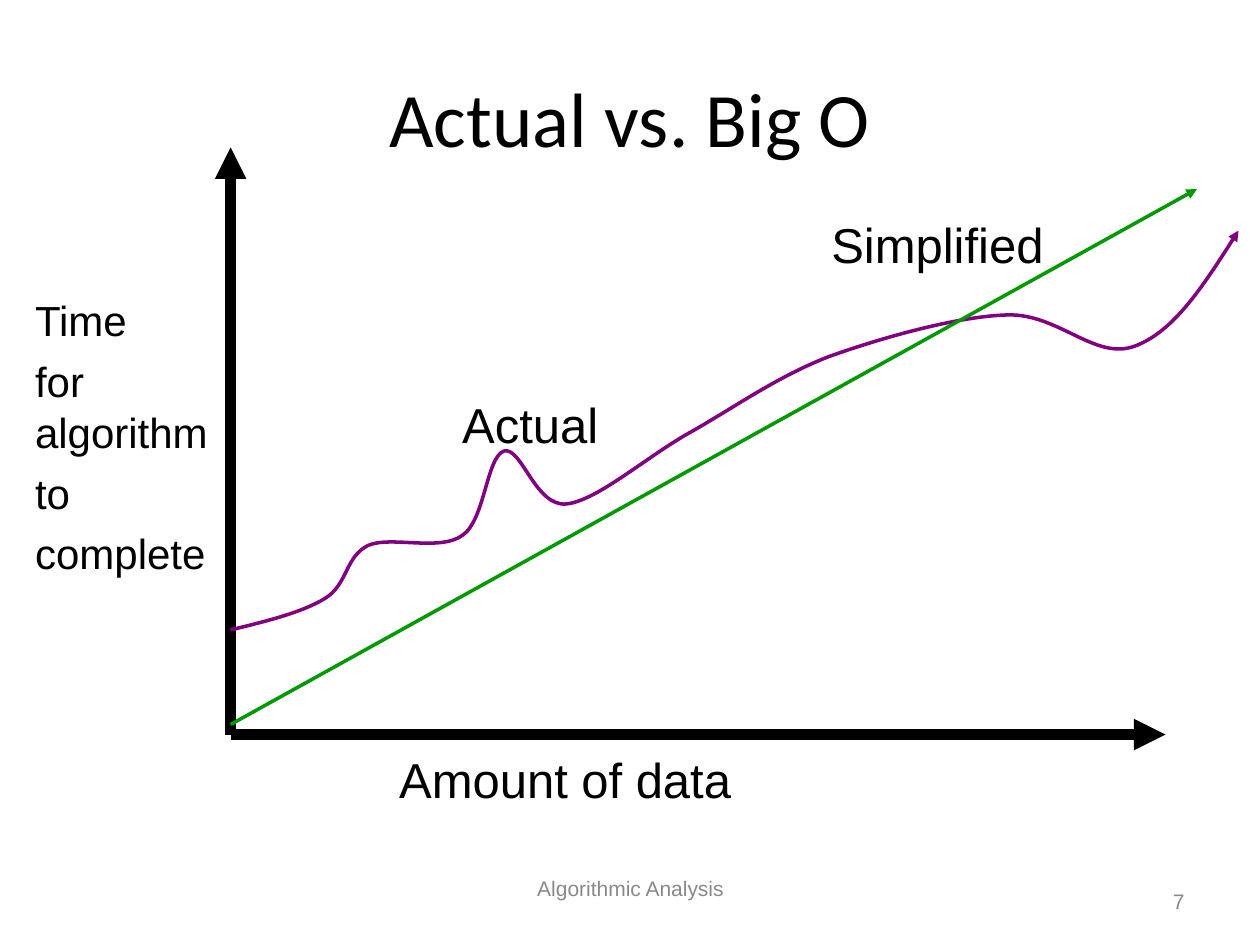
from pptx import Presentation
from pptx.dml.color import RGBColor
from pptx.enum.shapes import MSO_CONNECTOR
from pptx.enum.text import MSO_ANCHOR, MSO_AUTO_SIZE, PP_ALIGN
from pptx.oxml.ns import qn
from pptx.util import Inches, Pt
from lxml import etree

LEFT, CENTER, RIGHT = PP_ALIGN.LEFT, PP_ALIGN.CENTER, PP_ALIGN.RIGHT
TOP, MIDDLE = MSO_ANCHOR.TOP, MSO_ANCHOR.MIDDLE
STRAIGHT = MSO_CONNECTOR.STRAIGHT
FIT_TEXT, FIXED = MSO_AUTO_SIZE.SHAPE_TO_FIT_TEXT, MSO_AUTO_SIZE.NONE

COLORS = {"black": "000000", "gray": "898989", "actual": "800080", "simplified": "009900"}


def style_arrow(shape, color, width):
    shape.line.color.rgb = RGBColor.from_string(COLORS[color])
    shape.line.width = Pt(width)
    line = shape.line._get_or_add_ln()
    etree.SubElement(line, qn("a:tailEnd"), type="triangle")


def add_label(box, paragraphs, size, color, space, align=LEFT, anchor=TOP, grows=True):
    text_box = slide.shapes.add_textbox(*[Inches(length) for length in box])
    frame = text_box.text_frame
    frame.word_wrap = not grows
    frame.auto_size = FIT_TEXT if grows else FIXED
    frame.vertical_anchor = anchor
    for index, lines in enumerate(paragraphs):
        paragraph = frame.paragraphs[0] if index == 0 else frame.add_paragraph()
        paragraph.alignment = align
        paragraph.space_before = Pt(space)
        for number, text in enumerate(lines):
            if number:
                paragraph.add_line_break()
            run = paragraph.add_run()
            run.text = text
            run.font.name = "Arial"
            run.font.size = Pt(size)
            run.font.color.rgb = RGBColor.from_string(COLORS[color])
    return text_box


presentation = Presentation()
presentation.slide_width = Inches(10)
presentation.slide_height = Inches(7.5)
slide = presentation.slides.add_slide(presentation.slide_layouts[5])

title = slide.shapes.title
title.left, title.top, title.width, title.height = [Inches(n) for n in (0.5, 0.3, 9, 1.25)]
title.text_frame.vertical_anchor = MIDDLE
paragraph = title.text_frame.paragraphs[0]
paragraph.alignment = CENTER
run = paragraph.add_run()
run.text = "Actual vs. Big O"
run.font.name = "Calibri"
run.font.size = Pt(44)
run.font.color.rgb = RGBColor.from_string(COLORS["black"])

footer = add_label((3.42, 6.95, 3.17, 0.4), [["Algorithmic Analysis"]], 12, "gray", 0, CENTER, TOP, False)
footer.text_frame.margin_top = 0
add_label((7.17, 6.95, 2.33, 0.4), [["7"]], 12, "gray", 3, RIGHT, MIDDLE, False)

arrows = [
    ((1.83, 5.83), (1.83, 1.17), "black", 6),
    ((1.83, 5.83), (9.25, 5.83), "black", 6),
    ((1.83, 5.75), (9.5, 1.5), "simplified", 2),
]
for start, end, color, width in arrows:
    connector = slide.shapes.add_connector(STRAIGHT, *[Inches(n) for n in start + end])
    style_arrow(connector, color, width)
    etree.SubElement(connector.element.spPr, qn("a:effectLst"))

curve_points = [
    (2.12, 4.93), (2.4, 4.86), (2.58, 4.75),
    (2.76, 4.64), (2.74, 4.42), (2.92, 4.33),
    (3.1, 4.25), (3.49, 4.38), (3.67, 4.25),
    (3.85, 4.13), (3.86, 3.63), (4, 3.58),
    (4.14, 3.54), (4.25, 4.03), (4.5, 4),
    (4.75, 3.97), (5.15, 3.61), (5.5, 3.42),
    (5.85, 3.22), (6.17, 2.99), (6.58, 2.83),
    (7, 2.68), (7.6, 2.51), (8, 2.5),
    (8.4, 2.49), (8.69, 2.86), (9, 2.75),
    (9.31, 2.64), (9.57, 2.24), (9.83, 1.83),
]
builder = slide.shapes.build_freeform(Inches(1.83), Inches(5))
builder.add_line_segments([(Inches(x), Inches(y)) for x, y in curve_points], close=False)
curve = builder.convert_to_shape()
curve.shadow.inherit = False
curve.fill.background()
style_arrow(curve, "actual", 2)
segments = list(curve.element.iter(qn("a:lnTo")))
for first in range(0, len(segments), 3):
    bezier = etree.SubElement(segments[first].getparent(), qn("a:cubicBezTo"))
    for segment in segments[first:first + 3]:
        bezier.append(segment[0])
        segment.getparent().remove(segment)
connector.element.addprevious(curve.element)

add_label((3.07, 5.9, 2.9, 0.57), [["Amount of data"]], 28, "black", 7)
time_lines = [["Time"], ["for", "algorithm"], ["to"], ["complete"]]
add_label((0.18, 2.29, 1.57, 2.35), time_lines, 24, "black", 6)
add_label((3.57, 3.08, 1.28, 0.57), [["Actual"]], 28, "black", 7)
add_label((6.5, 1.65, 1.88, 0.57), [["Simplified"]], 28, "black", 7)

presentation.save("out.pptx")
